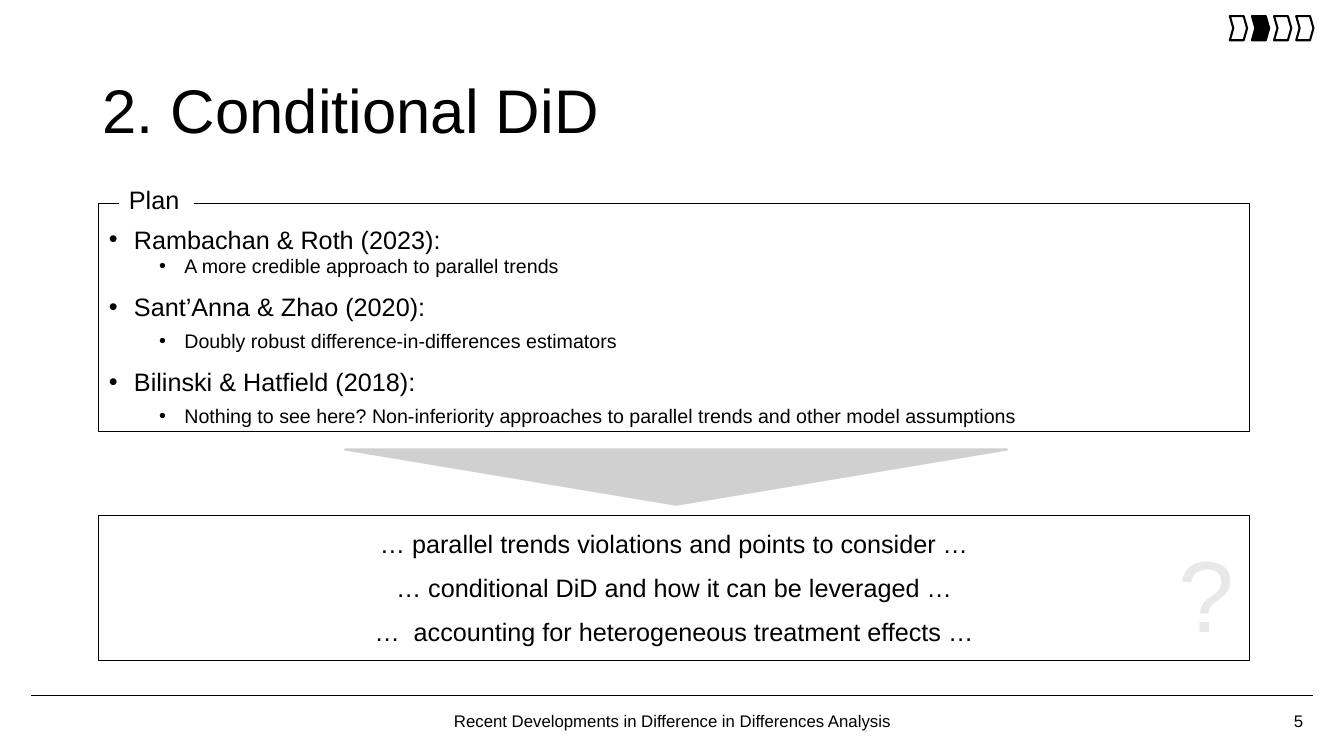
from dataclasses import dataclass

from lxml import etree
from pptx import Presentation
from pptx.dml.color import RGBColor
from pptx.enum.shapes import MSO_CONNECTOR, MSO_SHAPE
from pptx.enum.text import MSO_ANCHOR, MSO_AUTO_SIZE, PP_ALIGN
from pptx.oxml.ns import qn
from pptx.slide import Slide
from pptx.util import Pt

BLACK = RGBColor(0x00, 0x00, 0x00)
WHITE = RGBColor(0xFF, 0xFF, 0xFF)
ARROW_GREY = RGBColor(0xD0, 0xD0, 0xD0)
PALE_GREY = RGBColor(0xE8, 0xE8, 0xE8)

LEFT, CENTER, RIGHT = PP_ALIGN.LEFT, PP_ALIGN.CENTER, PP_ALIGN.RIGHT
TOP, MIDDLE = MSO_ANCHOR.TOP, MSO_ANCHOR.MIDDLE
RECTANGLE, CHEVRON = MSO_SHAPE.RECTANGLE, MSO_SHAPE.CHEVRON
TRIANGLE = MSO_SHAPE.ISOSCELES_TRIANGLE
STRAIGHT = MSO_CONNECTOR.STRAIGHT
NO_AUTOFIT = MSO_AUTO_SIZE.NONE

BOX_LEFT, BOX_WIDTH = 70.5, 822
FOOTER_TOP, FOOTER_HEIGHT = 500.5, 29

PLAN = [  # text, level, space before
    ("Rambachan & Roth (2023):", 0, 0),
    ("A more credible approach to parallel trends", 1, 0),
    ("Sant’Anna & Zhao (2020):", 0, 10),
    ("Doubly robust difference-in-differences estimators", 1, 5),
    ("Bilinski & Hatfield (2018):", 0, 10),
    ("Nothing to see here? Non-inferiority approaches to parallel trends "
     "and other model assumptions", 1, 5),
]
TAKEAWAYS = [
    "… parallel trends violations and points to consider …",
    "… conditional DiD and how it can be leveraged …",
    "…  accounting for heterogeneous treatment effects …",
]


@dataclass
class Deck:
    slide: Slide
    font: str = "Arial"
    size: float = 18
    line_width: float = 0.75

    def place(self, shape, left, top, width, height):
        shape.left, shape.top = Pt(left), Pt(top)
        shape.width, shape.height = Pt(width), Pt(height)

    def frame(self, shape, anchor=TOP, top_inset=3.6):
        frame = shape.text_frame
        frame.word_wrap = True
        frame.auto_size = NO_AUTOFIT
        frame.vertical_anchor = anchor
        frame.margin_left = frame.margin_right = Pt(7.2)
        frame.margin_top, frame.margin_bottom = Pt(top_inset), Pt(3.6)
        return frame

    def style(self, paragraph, size, color=BLACK, align=LEFT, before=0, spacing=1.0):
        paragraph.alignment = align
        paragraph.space_before = Pt(before)
        paragraph.line_spacing = spacing
        paragraph.font.name = self.font
        paragraph.font.size = Pt(size)
        paragraph.font.color.rgb = color

    def fill_text(self, shape, lines, size=None, color=BLACK, align=LEFT,
                  gap=0, anchor=TOP, top_inset=3.6, spacing=1.0):
        frame = self.frame(shape, anchor, top_inset)
        for i, line in enumerate(lines):
            paragraph = frame.add_paragraph() if i else frame.paragraphs[0]
            paragraph.text = line
            self.style(paragraph, size or self.size, color, align,
                       gap if i else 0, spacing)

    def title(self, text, bounds):
        heading = self.slide.shapes.title
        self.place(heading, *bounds)
        self.fill_text(heading, [text], 44, anchor=MIDDLE, spacing=0.9)

    def bullets(self, items, bounds, top_inset):
        body = self.slide.placeholders[1]
        self.place(body, *bounds)
        body.line.color.rgb = BLACK
        body.line.width = Pt(self.line_width)
        frame = self.frame(body, top_inset=top_inset)
        for i, (text, level, before) in enumerate(items):
            paragraph = frame.add_paragraph() if i else frame.paragraphs[0]
            paragraph.text, paragraph.level = text, level
            # Bullet and hanging indent
            properties = paragraph._p.get_or_add_pPr()
            properties.set("marL", str(Pt(18 + 36 * level)))
            properties.set("indent", str(Pt(-18)))
            etree.SubElement(properties, qn("a:buFont"), typeface=self.font)
            etree.SubElement(properties, qn("a:buChar"), char="•")
            self.style(paragraph, self.size - 4 * level, before=before)

    def shape(self, kind, bounds, fill=None, line=None, width=None):
        shape = self.slide.shapes.add_shape(kind, *map(Pt, bounds))
        shape.shadow.inherit = False
        if fill is None:
            shape.fill.background()
        else:
            shape.fill.solid()
            shape.fill.fore_color.rgb = fill
        if line is None:
            shape.line.fill.background()
        else:
            shape.line.color.rgb = line
            shape.line.width = Pt(width or self.line_width)
        return shape

    def text(self, text, bounds, **style):
        self.fill_text(self.slide.shapes.add_textbox(*map(Pt, bounds)), [text], **style)

    def rule(self, x1, x2, y):
        rule = self.slide.shapes.add_connector(STRAIGHT, Pt(x1), Pt(y), Pt(x2), Pt(y))
        rule.line.color.rgb = BLACK
        rule.line.width = Pt(1)
        etree.SubElement(rule._element.spPr, qn("a:effectLst"))


def main():
    presentation = Presentation()
    presentation.slide_width, presentation.slide_height = Pt(960), Pt(540)
    deck = Deck(presentation.slides.add_slide(presentation.slide_layouts[1]))

    deck.title("2. Conditional DiD", (66, 29, 828, 104.5))

    # Plan box with its label set into the border
    deck.bullets(PLAN, (BOX_LEFT, 145.5, BOX_WIDTH, 163), top_inset=14.4)
    plan_label = deck.shape(RECTANGLE, (85, 128, 53.5, 29), fill=WHITE)
    deck.fill_text(plan_label, ["Plan"])

    # Arrow down to the takeaways
    arrow = deck.shape(TRIANGLE, (246.5, 321, 473, 39.5), ARROW_GREY, ARROW_GREY, 1.5)
    arrow.rotation = 180

    # Takeaways over a pale question mark
    deck.text("?", (835, 376.5, 55, 94.5), size=72, color=PALE_GREY)
    takeaways = deck.shape(RECTANGLE, (BOX_LEFT, 368.5, BOX_WIDTH, 103), line=BLACK)
    deck.fill_text(takeaways, TAKEAWAYS, align=CENTER, gap=10, top_inset=8.6)

    # Progress chevrons, second section active
    for section in range(4):
        chevron = deck.shape(CHEVRON, (878.5 + 15.8 * section, 11.5, 12.3, 17.3),
                             BLACK if section == 1 else None, BLACK, 1.5)
        chevron.adjustments[0] = 0.2

    # Footer
    deck.rule(22.5, 938, 497)
    deck.text("Recent Developments in Difference in Differences Analysis",
              (309, FOOTER_TOP, 343, FOOTER_HEIGHT), size=12, align=CENTER, anchor=MIDDLE)
    deck.text("5", (722, FOOTER_TOP, 216, FOOTER_HEIGHT),
              size=12, align=RIGHT, anchor=MIDDLE)

    presentation.save("out.pptx")


if __name__ == "__main__":
    main()
